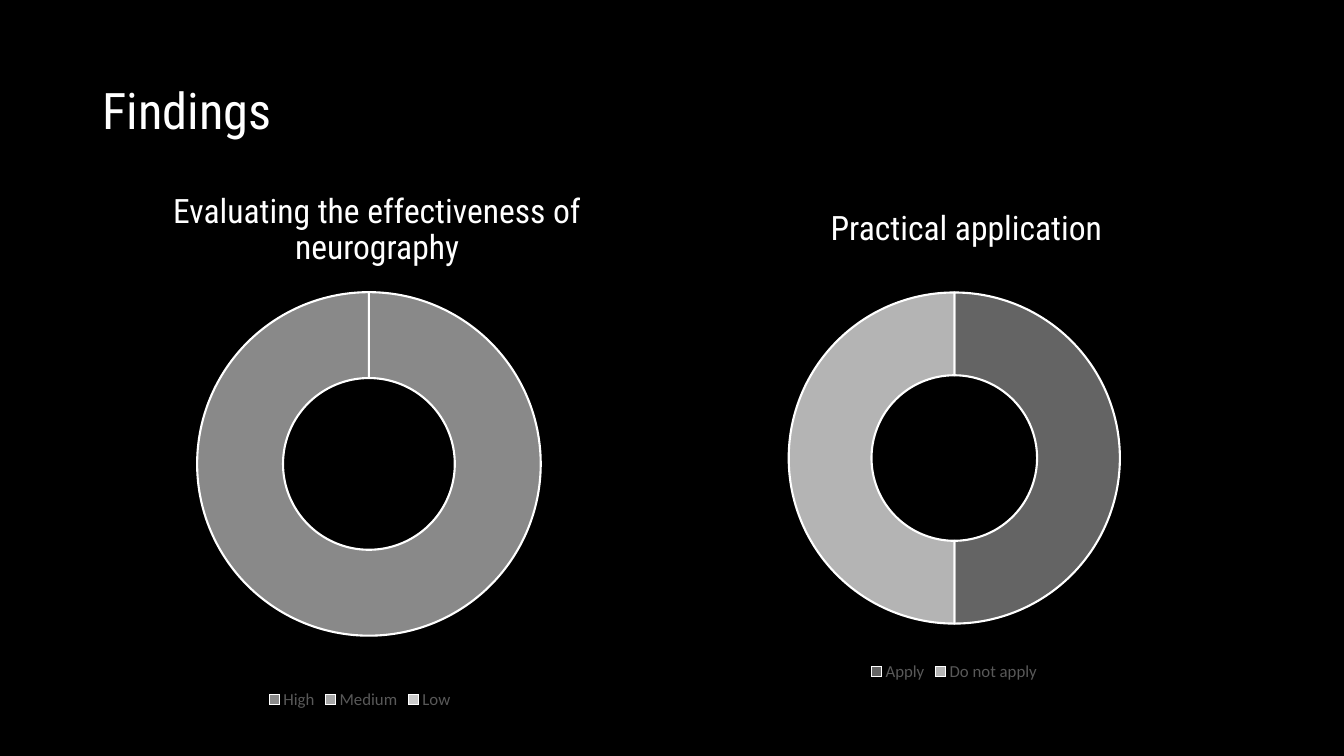
"""Build the Findings slide with two captioned doughnut charts."""
from lxml import etree
from pptx import Presentation
from pptx.chart.data import CategoryChartData
from pptx.dml.color import RGBColor
from pptx.enum.chart import XL_CHART_TYPE, XL_LEGEND_POSITION
from pptx.enum.text import MSO_ANCHOR, PP_ALIGN
from pptx.oxml.ns import qn
from pptx.util import Inches, Pt

DOUGHNUT = XL_CHART_TYPE.DOUGHNUT
LEGEND_BOTTOM = XL_LEGEND_POSITION.BOTTOM
MIDDLE, BOTTOM = MSO_ANCHOR.MIDDLE, MSO_ANCHOR.BOTTOM
LEFT, CENTER = PP_ALIGN.LEFT, PP_ALIGN.CENTER

THEME = {
    "background": "000000", "text": "FFFFFF", "legend": "595959", "edge": "FFFFFF",
    "font": "Roboto Condensed", "chart_font": "Calibri",
    "title_size": 36, "caption_size": 24, "legend_size": 12, "edge_width": 1.5,
}

TITLE = {"text": "Findings", "at": (0.92, 0.4, 11.5, 1.45)}
FINDINGS = [
    {
        "caption": "Evaluating the effectiveness of neurography",
        "caption_at": (0.92, 1.84, 5.64, 0.86),
        "chart_at": (0.58, 2.81, 5.98, 4.27),
        "plot": (0.23, 0.02, 0.57, 0.8),
        "slices": [("High", 100, "898989"), ("Medium", 0, "A5A5A5"), ("Low", 0, "CBCBCB")],
    },
    {
        "caption": "Practical application",
        "caption_at": (6.75, 1.52, 5.67, 0.99),
        "chart_at": (6.18, 2.15, 6.57, 4.65),
        "plot": (0.25, 0.14, 0.5, 0.75),
        "slices": [("Apply", 50, "646464"), ("Do not apply", 50, "B4B4B4")],
    },
]
HOLE_PERCENT = 75


def color(name):
    return RGBColor.from_string(THEME[name])


def add_text(page, text, at, size, anchor, align, space_before=0):
    box = page.shapes.add_textbox(*map(Inches, at))
    frame = box.text_frame
    frame.text = text
    frame.word_wrap = True
    frame.vertical_anchor = anchor
    para = frame.paragraphs[0]
    para.alignment = align
    para.line_spacing = 0.9
    para.space_before = Pt(space_before)
    font = para.runs[0].font
    font.name, font.size = THEME["font"], Pt(THEME[size])
    font.color.rgb = color("text")


def place_plot(chart, plot):
    area = chart.plots[0]._element.getparent()
    for old in area.findall(qn("c:layout")):
        area.remove(old)
    layout = etree.Element(qn("c:layout"))
    manual = etree.SubElement(layout, qn("c:manualLayout"))
    settings = [("layoutTarget", "inner"), ("xMode", "edge"), ("yMode", "edge")]
    settings += zip("xywh", plot)
    for tag, value in settings:
        etree.SubElement(manual, qn(f"c:{tag}")).set("val", str(value))
    area.insert(0, layout)


def add_doughnut(page, at, plot, slices):
    labels, values, fills = zip(*slices)
    data = CategoryChartData()
    data.categories = labels
    data.add_series("", values)
    chart = page.shapes.add_chart(DOUGHNUT, *map(Inches, at), data).chart
    chart.has_title = False
    chart.font.name, chart.font.size = THEME["chart_font"], Pt(THEME["legend_size"])
    chart.font.color.rgb = color("legend")
    chart.has_legend = True
    chart.legend.position = LEGEND_BOTTOM
    chart.legend.include_in_layout = False
    doughnut = chart.plots[0]
    doughnut.vary_by_categories = True
    doughnut._element.find(qn("c:holeSize")).set("val", str(HOLE_PERCENT))
    for index, fill in enumerate(fills):
        form = doughnut.series[0].points[index].format
        form.fill.solid()
        form.fill.fore_color.rgb = RGBColor.from_string(fill)
        form.line.color.rgb = color("edge")
        form.line.width = Pt(THEME["edge_width"])
    place_plot(chart, plot)


def main():
    deck = Presentation()
    deck.slide_width, deck.slide_height = Inches(13.33), Inches(7.5)
    page = deck.slides.add_slide(deck.slide_layouts[6])
    page.background.fill.solid()
    page.background.fill.fore_color.rgb = color("background")
    add_text(page, TITLE["text"], TITLE["at"], "title_size", MIDDLE, LEFT)
    for finding in FINDINGS:
        add_text(page, finding["caption"], finding["caption_at"],
                 "caption_size", BOTTOM, CENTER, space_before=10)
        add_doughnut(page, finding["chart_at"], finding["plot"], finding["slices"])
    deck.save("out.pptx")


if __name__ == "__main__":
    main()
